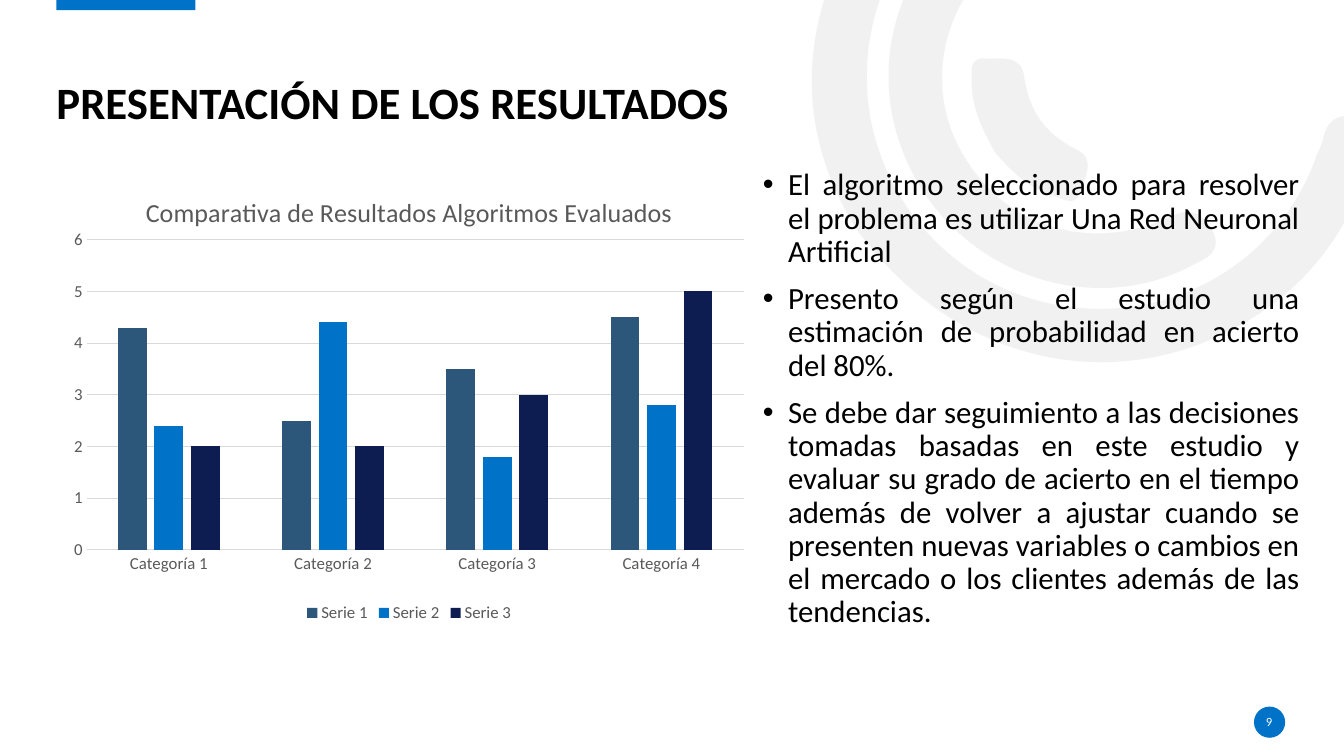
import dataclasses
import math

import pptx
import pptx.chart.data
import pptx.dml.color
import pptx.enum.chart
import pptx.enum.shapes
import pptx.enum.text
import pptx.oxml
import pptx.oxml.ns
import pptx.util

Inches = pptx.util.Inches
Pt = pptx.util.Pt
Align = pptx.enum.text.PP_ALIGN
Anchor = pptx.enum.text.MSO_ANCHOR
Preset = pptx.enum.shapes.MSO_SHAPE


@dataclasses.dataclass(frozen=True)
class Theme:
    font: str = "Calibri"
    text: str = "000000"
    inverse: str = "FFFFFF"
    accent: str = "0072C7"
    ring: str = "E7E6E6"
    ring_opacity: int = 53
    ring_rotation: float = 144.2
    chart_text: str = "595959"
    grid: str = "D9D9D9"
    series: tuple = ("2C567A", "0072C7", "0D1D51")
    title_size: float = 32
    body_size: float = 22
    chart_title_size: float = 18.6
    chart_size: float = 12
    number_size: float = 9


# Each ring: its frame before rotation, a start point as seen on the slide,
# then Bézier segments (two controls and an end).
RINGS = [
    ((8.13, -2.02, 4.85, 6), (8.51, 2.29), [
        (7.99, 1.49, 7.87, 0.5, 8.38, -0.5), (8.9, -1.52, 9.76, -2.03, 10.9, -2.07),
        (11.05, -2.07, 11.21, -2.1, 11.31, -1.95), (11.44, -1.75, 11.27, -1.54, 10.98, -1.54),
        (9.67, -1.54, 8.65, -0.59, 8.6, 0.68), (8.56, 1.81, 9.36, 2.81, 10.46, 3.02),
        (11.6, 3.24, 12.7, 2.61, 13.07, 1.52), (13.09, 1.48, 13.11, 1.44, 13.12, 1.4),
        (13.16, 1.19, 13.27, 1.11, 13.49, 1.17), (13.73, 1.24, 13.67, 1.41, 13.61, 1.56),
        (13.34, 2.45, 12.78, 3.07, 11.91, 3.41), (10.7, 3.87, 9.36, 3.45, 8.51, 2.29)]),
    ((9.01, -0.78, 2.13, 4.26), (9.22, 1.99), [
        (8.62, 1.15, 8.69, 0.07, 9.4, -0.68), (9.51, -0.79, 9.62, -0.95, 9.8, -0.78),
        (9.95, -0.64, 9.97, -0.5, 9.79, -0.32), (9.25, 0.26, 9.2, 1.08, 9.65, 1.68),
        (10.08, 2.29, 10.88, 2.49, 11.61, 2.15), (11.82, 2.05, 11.93, 2.12, 12.03, 2.29),
        (12.13, 2.5, 11.97, 2.56, 11.83, 2.63), (10.96, 3.1, 9.83, 2.82, 9.22, 1.99)]),
    ((9.8, 0.37, 0.78, 1.83), (9.87, 1.51), [
        (9.75, 1.3, 9.64, 1.07, 9.64, 0.82), (9.64, 0.73, 9.61, 0.57, 9.76, 0.58),
        (9.92, 0.59, 10.13, 0.53, 10.16, 0.76), (10.21, 1.1, 10.36, 1.32, 10.67, 1.48),
        (10.88, 1.57, 10.76, 1.76, 10.72, 1.89), (10.68, 2.06, 10.55, 1.98, 10.45, 1.94),
        (10.21, 1.87, 10.03, 1.7, 9.87, 1.51)]),
]
CATEGORIES = [f"Categoría {number}" for number in range(1, 5)]
SERIES = {
    "Serie 1": (4.3, 2.5, 3.5, 4.5),
    "Serie 2": (2.4, 4.4, 1.8, 2.8),
    "Serie 3": (2, 2, 3, 5),
}
FINDINGS = [
    "El algoritmo seleccionado para resolver el problema es utilizar Una Red Neuronal Artificial",
    "Presento según el estudio una estimación de probabilidad en acierto del 80%.",
    "Se debe dar seguimiento a las decisiones tomadas basadas en este estudio y evaluar su grado "
    "de acierto en el tiempo además de volver a ajustar cuando se presenten nuevas variables o "
    "cambios en el mercado o los clientes además de las tendencias.",
]


def rgb(color):
    return pptx.dml.color.RGBColor.from_string(color)


def drawing_xml(text):
    """Parse one element, given without brackets, in the drawing namespace."""
    return pptx.oxml.parse_xml(f'<a:{text} {pptx.oxml.ns.nsdecls("a")}/>')


def unrotate(point, area, degrees):
    """Turn a slide point back about the centre of its frame; return it within the frame."""
    left, top, width, height = area
    angle = math.radians(-degrees)
    dx, dy = point[0] - left - width / 2, point[1] - top - height / 2
    return (Inches(dx * math.cos(angle) - dy * math.sin(angle) + width / 2),
            Inches(dx * math.sin(angle) + dy * math.cos(angle) + height / 2))


def set_layout(parent, index, target=None, **fractions):
    """Place a chart part by fractions of the chart frame."""
    for old in parent.findall(pptx.oxml.ns.qn("c:layout")):
        parent.remove(old)
    entries = {"layoutTarget": target} if target else {}
    entries.update(xMode="edge", yMode="edge", **fractions)
    body = "".join(f'<c:{name} val="{value}"/>' for name, value in entries.items())
    parent.insert(index, pptx.oxml.parse_xml(
        f'<c:layout {pptx.oxml.ns.nsdecls("c")}><c:manualLayout>{body}</c:manualLayout></c:layout>'))


class SlideBuilder:
    def __init__(self, slide, theme):
        self.slide = slide
        self.theme = theme

    def style_font(self, font, size, color, bold=False):
        font.name, font.size, font.bold = self.theme.font, Pt(size), bold
        font.color.rgb = rgb(color)

    def paint(self, shape, color):
        shape.shadow.inherit = False
        shape.fill.solid()
        shape.fill.fore_color.rgb = rgb(color)
        shape.line.fill.background()

    def shape(self, preset, left, top, width, height):
        shape = self.slide.shapes.add_shape(
            preset, Inches(left), Inches(top), Inches(width), Inches(height))
        self.paint(shape, self.theme.accent)

    def ring(self, area, start, segments):
        """Draw a closed outline, its straight segments turned into Bézier curves."""
        degrees = self.theme.ring_rotation
        builder = self.slide.shapes.build_freeform(*unrotate(start, area, degrees))
        builder.add_line_segments([unrotate(segment[4:], area, degrees) for segment in segments])
        ring = builder.convert_to_shape()
        ring.left, ring.top, ring.width, ring.height = map(Inches, area)
        ring.rotation = degrees
        self.paint(ring, self.theme.ring)

        outline = ring._element.find(".//" + pptx.oxml.ns.qn("a:path"))
        outline.set("w", str(ring.width))
        outline.set("h", str(ring.height))
        for step in list(outline):
            outline.remove(step)
        steps = [("moveTo", [start])]
        steps += [("cubicBezTo", [segment[i:i + 2] for i in (0, 2, 4)]) for segment in segments]
        for tag, points in steps + [("close", [])]:
            step = drawing_xml(tag)
            for point in points:
                x, y = unrotate(point, area, degrees)
                step.append(drawing_xml(f'pt x="{x}" y="{y}"'))
            outline.append(step)
        color = ring.fill._xPr.find(".//" + pptx.oxml.ns.qn("a:srgbClr"))
        color.append(drawing_xml(f'alpha val="{self.theme.ring_opacity * 1000}"'))

    def text_box(self, left, top, width, height):
        box = self.slide.shapes.add_textbox(
            Inches(left), Inches(top), Inches(width), Inches(height))
        box.text_frame.word_wrap = True
        return box.text_frame

    def label(self, text, area, size, color, anchor, align=Align.LEFT, bold=False, spacing=1.0):
        frame = self.text_box(*area)
        frame.margin_left = frame.margin_right = frame.margin_top = frame.margin_bottom = 0
        frame.vertical_anchor = anchor
        frame.text = text
        para = frame.paragraphs[0]
        para.alignment, para.line_spacing = align, spacing
        self.style_font(para.runs[0].font, size, color, bold)

    def bullets(self, items, area):
        frame = self.text_box(*area)
        for index, item in enumerate(items):
            para = frame.add_paragraph() if index else frame.paragraphs[0]
            para.text = item
            para.alignment, para.line_spacing = Align.JUSTIFY, 0.9
            para.space_before = Pt(10 if index else 0)
            properties = para._p.get_or_add_pPr()
            properties.set("marL", str(Inches(0.25)))
            properties.set("indent", str(Inches(-0.25)))
            for tag in ('buFont typeface="Arial"', 'buChar char="•"'):
                properties.append(drawing_xml(tag))
            self.style_font(para.runs[0].font, self.theme.body_size, self.theme.text)

    def column_chart(self, title, categories, series, area):
        theme = self.theme
        data = pptx.chart.data.CategoryChartData()
        data.categories = categories
        for name, values in series.items():
            data.add_series(name, values)
        chart = self.slide.shapes.add_chart(
            pptx.enum.chart.XL_CHART_TYPE.COLUMN_CLUSTERED, *map(Inches, area), data).chart
        self.style_font(chart.font, theme.chart_size, theme.chart_text)
        chart.has_title = True
        heading = chart.chart_title.text_frame
        heading.text = title
        self.style_font(heading.paragraphs[0].runs[0].font,
                        theme.chart_title_size, theme.chart_text)
        set_layout(chart.chart_title._element, 1, x=0.12, y=0.025)
        set_layout(chart._chartSpace.chart.plotArea, 0, "inner",
                   x=0.043, y=0.137, w=0.931, h=0.691)
        chart.has_legend = True
        chart.legend.position = pptx.enum.chart.XL_LEGEND_POSITION.BOTTOM
        chart.legend.include_in_layout = False
        self.style_font(chart.legend.font, theme.chart_size, theme.chart_text)
        for axis in (chart.category_axis, chart.value_axis):
            axis.major_tick_mark = axis.minor_tick_mark = pptx.enum.chart.XL_TICK_MARK.NONE
            self.style_font(axis.tick_labels.font, theme.chart_size, theme.chart_text)
        chart.value_axis.format.line.fill.background()
        for part in (chart.category_axis, chart.value_axis.major_gridlines):
            part.format.line.color.rgb, part.format.line.width = rgb(theme.grid), Pt(0.75)
        plot = chart.plots[0]
        plot.gap_width, plot.overlap, plot.vary_by_categories = 219, -27, False
        for bars, color in zip(plot.series, theme.series):
            bars.format.fill.solid()
            bars.format.fill.fore_color.rgb = rgb(color)


deck = pptx.Presentation()
deck.slide_width, deck.slide_height = Inches(40 / 3), Inches(7.5)
style = Theme()
page = SlideBuilder(deck.slides.add_slide(deck.slide_layouts[6]), style)
for ring_parts in RINGS:
    page.ring(*ring_parts)
page.shape(Preset.RECTANGLE, 0.56, -0.02, 1.38, 0.12)
page.shape(Preset.OVAL, 12.44, 7.01, 0.31, 0.31)
page.label("PRESENTACIÓN DE LOS RESULTADOS", (0.56, 0.27, 12.19, 1.01),
           style.title_size, style.text, Anchor.BOTTOM, bold=True, spacing=0.9)
page.label("9", (12.43, 7.06, 0.32, 0.2), style.number_size, style.inverse,
           Anchor.MIDDLE, Align.CENTER)
page.column_chart("Comparativa de Resultados Algoritmos Evaluados",
                  CATEGORIES, SERIES, (0.56, 1.77, 7, 4.45))
page.bullets(FINDINGS, (7.47, 1.63, 5.52, 4.72))
deck.save("out.pptx")
